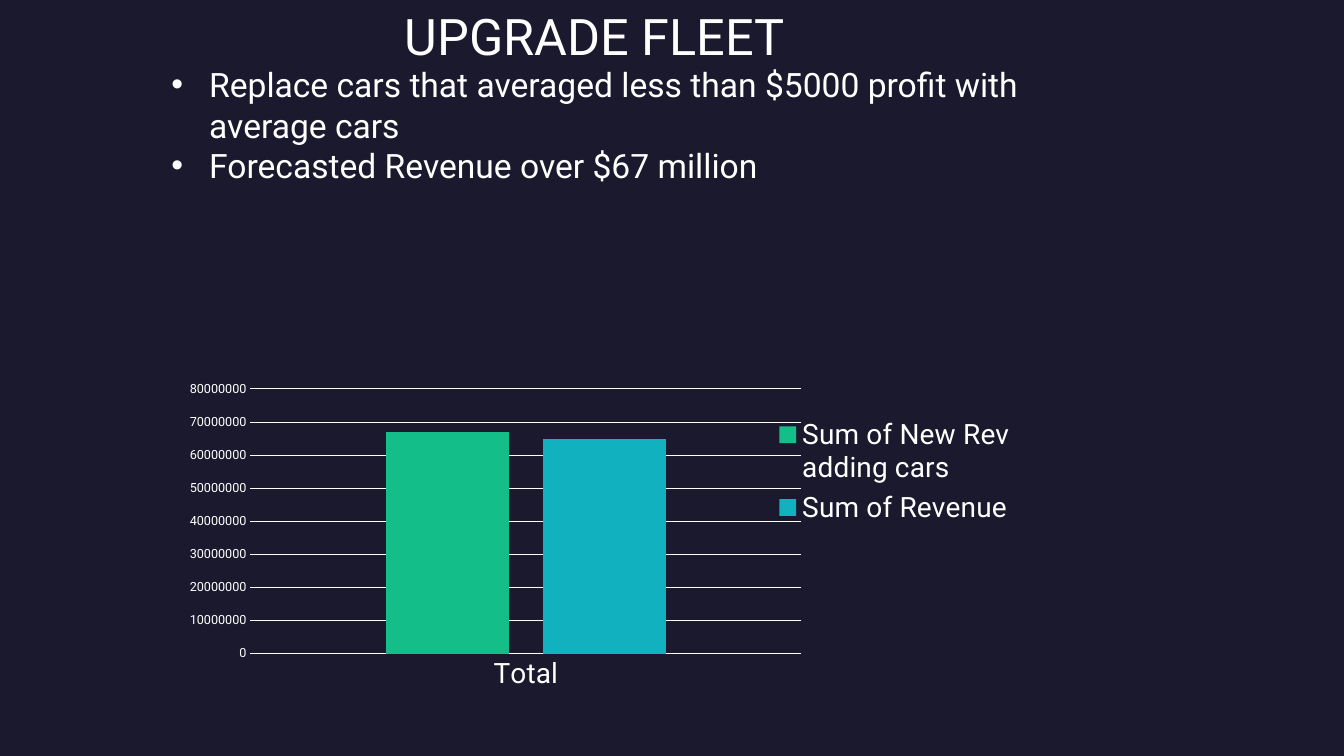
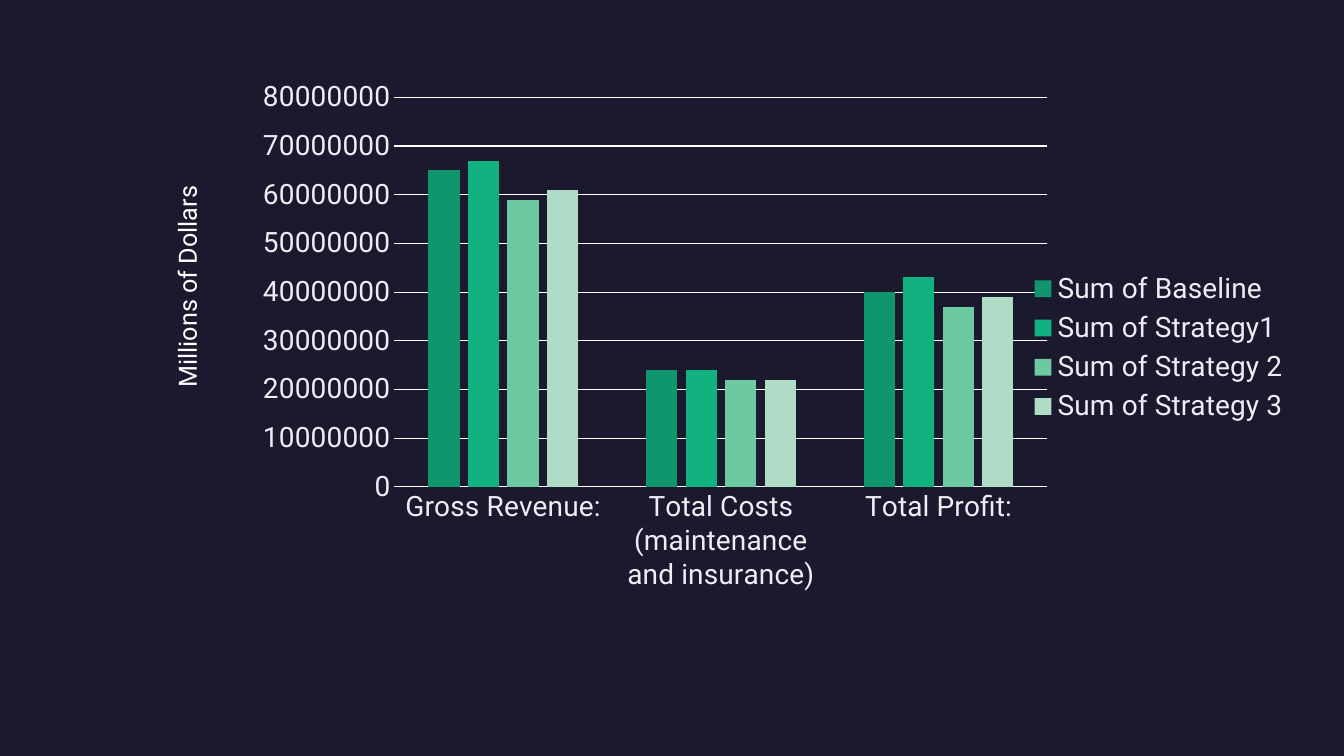
"""Build two dark slides on fleet strategy revenue with clustered column charts."""
from dataclasses import dataclass

from lxml.etree import SubElement
from pptx import Presentation
from pptx.chart.chart import Chart
from pptx.chart.data import CategoryChartData
from pptx.dml.color import RGBColor
from pptx.enum.chart import XL_CHART_TYPE, XL_LEGEND_POSITION, XL_TICK_MARK
from pptx.enum.text import MSO_ANCHOR, MSO_AUTO_SIZE, PP_ALIGN
from pptx.oxml.ns import qn
from pptx.slide import Slide
from pptx.text.text import Font
from pptx.util import Pt


@dataclass(frozen=True)
class Theme:
    """Colours, type sizes and line width of the deck."""

    font: str = "Roboto"
    background: str = "1B192E"
    white: str = "FFFFFF"
    pale: str = "EDEDF3"
    title_size: float = 36
    body_size: float = 24
    label_size: float = 20
    caption_size: float = 18
    small_size: float = 9
    line_width: float = 0.75


@dataclass(frozen=True)
class Frame:
    """A rectangle, in points or in fractions of a chart."""

    left: float
    top: float
    width: float
    height: float

    def points(self) -> tuple[Pt, Pt, Pt, Pt]:
        """Give the four lengths as points."""
        return Pt(self.left), Pt(self.top), Pt(self.width), Pt(self.height)


@dataclass(frozen=True)
class Series:
    """A named set of columns, with values in millions."""

    name: str
    color: str
    millions: tuple[int, ...]


@dataclass(frozen=True)
class ColumnChart:
    """A clustered column chart and its text styles."""

    frame: Frame
    plot: Frame
    categories: tuple[str, ...]
    series: tuple[Series, ...]
    text_color: str
    value_size: float


THEME = Theme()
MILLION = 1_000_000

TITLE_FRAME = Frame(115.2, 0, 619.2, 45.8)
BODY_FRAME = Frame(115.2, 42.2, 619.2, 124.8)
CAPTION_FRAME = Frame(12.96, 149.04, 241.2, 28.8)

FLEET_CHART = ColumnChart(
    frame=Frame(88.56, 173.52, 645.12, 326.16),
    plot=Frame(0.14, 0.32, 0.61, 0.58),
    categories=("Total",),
    series=(
        Series("Sum of New Rev adding cars", "13BE89", (67,)),
        Series("Sum of Revenue", "12B1BF", (65,)),
    ),
    text_color=THEME.white,
    value_size=THEME.small_size,
)

STRATEGY_CHART = ColumnChart(
    frame=Frame(176.4, 0, 752.4, 496.8),
    plot=Frame(0.14, 0.14, 0.62, 0.56),
    categories=(
        "Gross Revenue:",
        "Total Costs (maintenance and insurance)",
        "Total Profit:",
    ),
    series=(
        Series("Sum of Baseline", "0F966C", (65, 24, 40)),
        Series("Sum of Strategy1", "12B280", (67, 24, 43)),
        Series("Sum of Strategy 2", "6DC9A1", (59, 22, 37)),
        Series("Sum of Strategy 3", "AFDCC6", (61, 22, 39)),
    ),
    text_color=THEME.pale,
    value_size=THEME.label_size,
)


def style_font(font: Font, size: float, color: str = THEME.white) -> None:
    """Apply the deck typeface with a size and colour."""
    font.name = THEME.font
    font.size = Pt(size)
    font.color.rgb = RGBColor.from_string(color)


def fill_text(box, frame: Frame, lines: tuple[str, ...], size: float,
              align: PP_ALIGN = PP_ALIGN.LEFT) -> None:
    """Place a text shape and write one paragraph per line."""
    box.left, box.top, box.width, box.height = frame.points()
    text = box.text_frame
    text.word_wrap = True
    text.auto_size = MSO_AUTO_SIZE.NONE
    text.vertical_anchor = MSO_ANCHOR.TOP
    text.text = "\n".join(lines)
    for para in text.paragraphs:
        para.alignment = align
        para.space_before = Pt(0)
        style_font(para.font, size)


def set_plot_layout(chart: Chart, plot: Frame) -> None:
    """Fix the inner plot area as fractions of the chart."""
    area = chart.plots[0]._element.getparent()
    for old in area.findall(qn("c:layout")):
        area.remove(old)
    layout = SubElement(area, qn("c:layout"))
    area.insert(0, layout)
    manual = SubElement(layout, qn("c:manualLayout"))
    settings = {
        "layoutTarget": "inner", "xMode": "edge", "yMode": "edge",
        "x": plot.left, "y": plot.top, "w": plot.width, "h": plot.height,
    }
    for tag, value in settings.items():
        SubElement(manual, qn(f"c:{tag}")).set("val", str(value))


def style_line(line) -> None:
    """Draw an axis line or gridline in thin white."""
    line.color.rgb = RGBColor.from_string(THEME.white)
    line.width = Pt(THEME.line_width)


def style_axes(chart: Chart, spec_chart: ColumnChart) -> None:
    """Format the category and value axes."""
    category, value = chart.category_axis, chart.value_axis
    for axis, size in ((category, THEME.label_size), (value, spec_chart.value_size)):
        axis.major_tick_mark = axis.minor_tick_mark = XL_TICK_MARK.NONE
        style_font(axis.tick_labels.font, size, spec_chart.text_color)
    style_line(category.format.line)
    value.format.line.fill.background()
    value.has_major_gridlines = True
    style_line(value.major_gridlines.format.line)
    value.minimum_scale = 0
    value.maximum_scale = 80 * MILLION
    value.major_unit = 10 * MILLION
    value.tick_labels.number_format = "0"
    value.tick_labels.number_format_is_linked = False


def add_column_chart(page: Slide, column_chart: ColumnChart) -> None:
    """Add a column chart with a legend on the right."""
    data = CategoryChartData()
    data.categories = column_chart.categories
    for series in column_chart.series:
        data.add_series(series.name, [amount * MILLION for amount in series.millions])
    chart = page.shapes.add_chart(
        XL_CHART_TYPE.COLUMN_CLUSTERED, *column_chart.frame.points(), data
    ).chart
    chart.has_title = False
    style_font(chart.font, THEME.label_size)
    chart.has_legend = True
    chart.legend.position = XL_LEGEND_POSITION.RIGHT
    chart.legend.include_in_layout = False
    style_font(chart.legend.font, THEME.label_size, column_chart.text_color)
    style_axes(chart, column_chart)
    plot = chart.plots[0]
    plot.gap_width, plot.overlap = 219, -27
    plot.vary_by_categories = False
    for columns, series in zip(plot.series, column_chart.series):
        columns.format.fill.solid()
        columns.format.fill.fore_color.rgb = RGBColor.from_string(series.color)
    set_plot_layout(chart, column_chart.plot)


def build_fleet_page(deck: Presentation) -> None:
    """Build the slide on upgrading the fleet."""
    page = deck.slides.add_slide(deck.slide_layouts.get_by_name("Title and Content"))
    add_column_chart(page, FLEET_CHART)
    fill_text(page.shapes.title, TITLE_FRAME, ("UPGRADE FLEET",),
              THEME.title_size, PP_ALIGN.CENTER)
    fill_text(page.placeholders[1], BODY_FRAME, (
        "Replace cars that averaged less than $5000 profit with average cars",
        "Forecasted Revenue over $67 million",
    ), THEME.body_size)


def build_strategy_page(deck: Presentation) -> None:
    """Build the slide that compares the strategies."""
    page = deck.slides.add_slide(deck.slide_layouts.get_by_name("Blank"))
    add_column_chart(page, STRATEGY_CHART)
    caption = page.shapes.add_textbox(*CAPTION_FRAME.points())
    fill_text(caption, CAPTION_FRAME, ("Millions of Dollars",), THEME.caption_size)
    caption.rotation = 270


def main() -> None:
    """Build and save the deck."""
    deck = Presentation()
    deck.slide_width, deck.slide_height = Pt(960), Pt(540)
    background = deck.slide_master.background.fill
    background.solid()
    background.fore_color.rgb = RGBColor.from_string(THEME.background)
    build_fleet_page(deck)
    build_strategy_page(deck)
    deck.save("out.pptx")


main()
